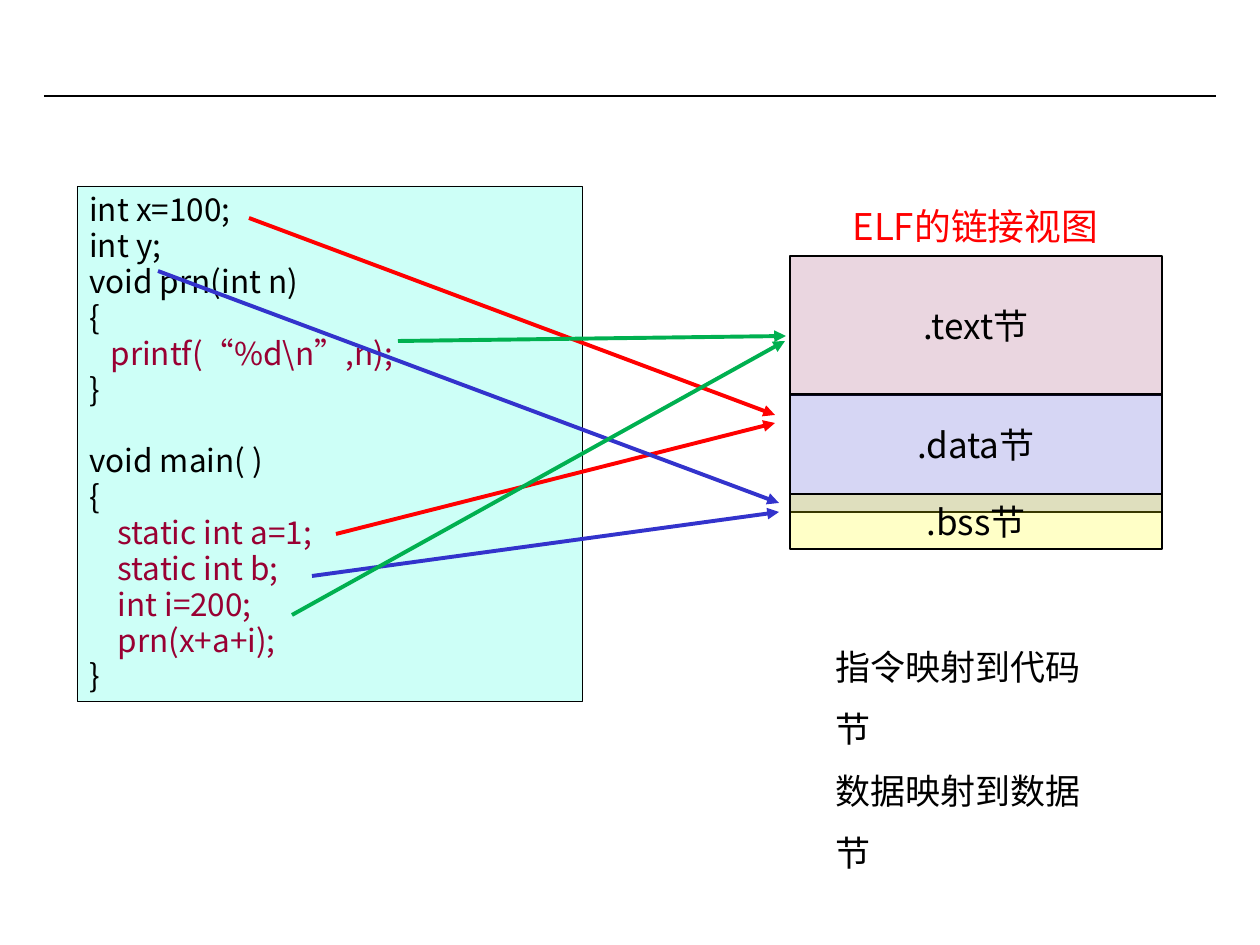
from lxml import etree
from pptx import Presentation
from pptx import util as u
from pptx.dml.color import RGBColor
from pptx.enum import shapes, text
from pptx.oxml.ns import qn

PX = 914400 / 126
FONT = "Noto Sans CJK SC"
BLACK = RGBColor(0x00, 0x00, 0x00)
RED = RGBColor(0xFF, 0x00, 0x00)
BLUE = RGBColor(0x33, 0x33, 0xCC)
GREEN = RGBColor(0x00, 0xB0, 0x50)
MAROON = RGBColor(0x99, 0x00, 0x33)
PLUM = RGBColor(0x99, 0x33, 0x66)
YELLOW = RGBColor(0xFF, 0xFF, 0x00)
MINT = RGBColor(0xCD, 0xFF, 0xF7)

CODE = r"""int x=100;
int y;
void prn(int n)
{
   printf(“%d\n”,n);
}

void main( )
{
    static int a=1;
    static int b;
    int i=200;
    prn(x+a+i);
}"""

# Name, offset from the top of the view, height, fill, opacity in percent, bottom inset
SECTIONS = [
    (".text节", 58, 139, PLUM, 20, 6),
    (".data节", 196, 118, BLUE, 20, 24),
    (".bss节", 296, 55, YELLOW, 22, 6),
]

ARROWS = [
    (RED, (249, 218), (775, 415)),
    (RED, (336, 534), (775, 423)),
    (BLUE, (158, 271), (779, 503)),
    (BLUE, (312, 576), (779, 512)),
    (GREEN, (398, 341), (786, 336)),
    (GREEN, (292, 615), (785, 341)),
]


def px(*lengths):
    return [u.Emu(round(length * PX)) for length in lengths]


def write(shape, lines, size, align=text.PP_ALIGN.LEFT, spacing=None,
          anchor=text.MSO_ANCHOR.TOP, wrap=True):
    """Fill a shape with (line, colour) pairs, one paragraph each."""
    frame = shape.text_frame
    frame.word_wrap = wrap
    frame.vertical_anchor = anchor
    for number, (line, colour) in enumerate(lines):
        paragraph = frame.add_paragraph() if number else frame.paragraphs[0]
        paragraph.text = line
        paragraph.alignment = align
        if spacing:
            paragraph.line_spacing = u.Pt(spacing)
        paragraph.font.size = u.Pt(size)
        paragraph.font.color.rgb = colour
        paragraph.font.name = FONT
        defaults = paragraph._p.pPr.find(qn("a:defRPr"))
        etree.SubElement(defaults, qn("a:ea"), typeface=FONT)


def add_box(slide, box, fill, line_width, opacity=100):
    shape = slide.shapes.add_shape(shapes.MSO_SHAPE.RECTANGLE, *px(*box))
    shape.shadow.inherit = False
    shape.fill.solid()
    shape.fill.fore_color.rgb = fill
    if opacity < 100:
        colour = shape._element.spPr.find(qn("a:solidFill"))[0]
        etree.SubElement(colour, qn("a:alpha"), val=str(opacity * 1000))
    shape.line.color.rgb = BLACK
    shape.line.width = u.Pt(line_width)
    return shape


def add_line(slide, start, end, colour, width, arrow=False):
    line = slide.shapes.add_connector(
        shapes.MSO_CONNECTOR.STRAIGHT, *px(*start, *end))
    line.line.color.rgb = colour
    line.line.width = u.Pt(width)
    if arrow:
        etree.SubElement(line.line._get_or_add_ln(), qn("a:tailEnd"), type="triangle")
    etree.SubElement(line._element.spPr, qn("a:effectLst"))


def add_source_code(slide, box):
    lines = [(line, MAROON if line.startswith(" ") else BLACK)
             for line in CODE.split("\n")]
    write(add_box(slide, box, MINT, 0.25), lines, 18, spacing=20.5)


def add_link_view(slide, box):
    """Heading above the stacked sections of the object file."""
    left, top, width, _ = box
    heading = slide.shapes.add_textbox(*px(left + 50, top, 307, 56))
    write(heading, [("ELF的链接视图", RED)], 21, anchor=text.MSO_ANCHOR.MIDDLE)
    for name, offset, height, fill, opacity, inset in SECTIONS:
        section = add_box(slide, (left, top + offset, width, height),
                          fill, 0.75, opacity)
        section.text_frame.margin_bottom = px(inset)[0]
        write(section, [(name, BLACK)], 20, text.PP_ALIGN.CENTER,
              anchor=text.MSO_ANCHOR.MIDDLE)


def add_mapping_notes(slide, box):
    notes = slide.shapes.add_textbox(*px(*box))
    write(notes, [("指令映射到代码节", BLACK), ("数据映射到数据节", BLACK)],
          20, spacing=35.5, wrap=False)


def main():
    deck = Presentation()
    deck.slide_width, deck.slide_height = px(1260, 945)
    slide = deck.slides.add_slide(deck.slide_layouts[6])
    add_line(slide, (44, 96), (1216, 96), BLACK, 0.75)
    add_source_code(slide, (77, 186, 505, 515))
    add_link_view(slide, (790, 198, 372, 351))
    for colour, start, end in ARROWS:
        add_line(slide, start, end, colour, 2.25, arrow=True)
    add_mapping_notes(slide, (823, 619, 305, 139))
    deck.save("out.pptx")


if __name__ == "__main__":
    main()
